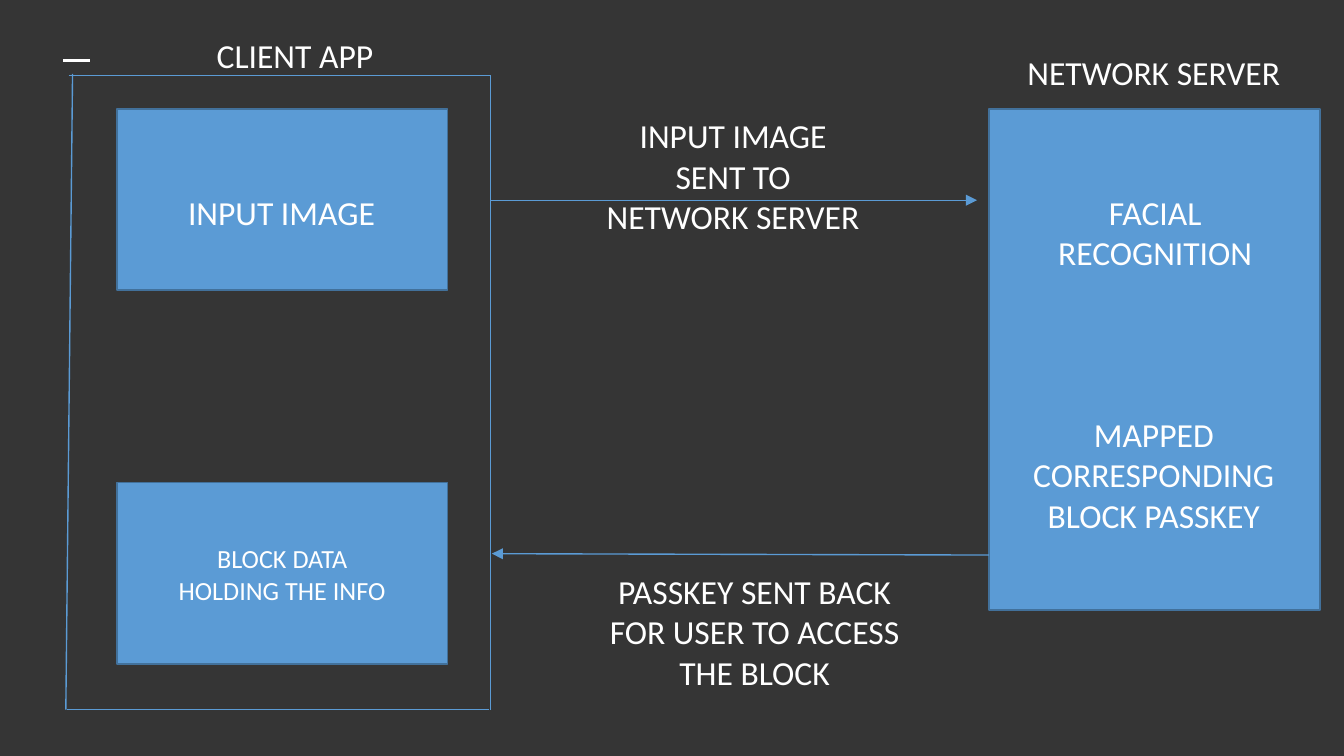
import pptx
import pptx.util
import pptx.dml.color
import pptx.enum.shapes
import pptx.enum.text
import pptx.oxml.ns
import lxml.etree

Inches = pptx.util.Inches
BLUE, WHITE = "5B9BD5", "FFFFFF"


def rgb(value):
    return pptx.dml.color.RGBColor.from_string(value)


# Widescreen 16:9 slide
deck = pptx.Presentation()
deck.slide_width, deck.slide_height = Inches(10), Inches(10 * 9 / 16)
slide = deck.slides.add_slide(deck.slide_layouts[6])
slide.background.fill.solid()
slide.background.fill.fore_color.rgb = rgb("353535")

# Blocks: input image, block data, network server
for left, top, height in [(0.87, 0.81, 1.35), (0.87, 3.59, 1.35), (7.36, 0.81, 3.73)]:
    block = slide.shapes.add_shape(
        pptx.enum.shapes.MSO_SHAPE.RECTANGLE,
        Inches(left), Inches(top), Inches(2.46), Inches(height))
    block.shadow.inherit = False
    block.fill.solid()
    block.fill.fore_color.rgb = rgb(BLUE)
    block.line.color.rgb = rgb("42719B")
    block.line.width = pptx.util.Pt(1)

# Title dash, client app frame, then the two messages with arrowheads
links = [
    (0.47, 0.45, 0.67, 0.45, WHITE, 1.5, False),
    (0.51, 0.56, 3.65, 0.56, BLUE, 0.75, False),
    (0.50, 5.28, 3.64, 5.28, BLUE, 0.75, False),
    (3.65, 0.56, 3.65, 5.28, BLUE, 0.75, False),
    (0.54, 0.55, 0.49, 5.28, BLUE, 0.75, False),
    (3.65, 1.49, 7.27, 1.49, BLUE, 0.75, True),
    (7.36, 4.13, 3.66, 4.12, BLUE, 0.75, True),
]
for x1, y1, x2, y2, color, width, arrow in links:
    link = slide.shapes.add_connector(
        pptx.enum.shapes.MSO_CONNECTOR.STRAIGHT,
        Inches(x1), Inches(y1), Inches(x2), Inches(y2))
    link.line.color.rgb = rgb(color)
    link.line.width = pptx.util.Pt(width)
    properties = link._element.spPr
    if arrow:
        lxml.etree.SubElement(properties.get_or_add_ln(),
                              pptx.oxml.ns.qn("a:tailEnd"), type="triangle")
    lxml.etree.SubElement(properties, pptx.oxml.ns.qn("a:effectLst"))

# Labels
labels = [
    ("CLIENT APP", 1.12, 0.21, 2.15, 0.32, 18),
    ("INPUT IMAGE", 1.19, 1.38, 1.81, 0.32, 18),
    ("BLOCK DATA HOLDING THE INFO", 1.12, 3.99, 1.96, 0.56, 14),
    ("INPUT IMAGE SENT TO NETWORK SERVER", 4.38, 0.81, 2.15, 0.56, 18),
    ("PASSKEY SENT BACK FOR USER TO ACCESS THE BLOCK", 4.38, 4.2, 2.47, 0.79, 18),
    ("NETWORK SERVER", 7.51, 0.34, 2.15, 0.32, 18),
    ("FACIAL RECOGNITION", 7.69, 1.38, 1.81, 0.56, 18),
    ("MAPPED CORRESPONDING BLOCK PASSKEY", 7.51, 3.03, 2.15, 0.79, 18),
]
for wording, left, top, width, height, size in labels:
    label = slide.shapes.add_textbox(
        Inches(left), Inches(top), Inches(width), Inches(height))
    label.text_frame.word_wrap = True
    paragraph = label.text_frame.paragraphs[0]
    paragraph.alignment = pptx.enum.text.PP_ALIGN.CENTER
    run = paragraph.add_run()
    run.text = wording
    run.font.color.rgb = rgb(WHITE)
    for name, value in {"name": "Calibri", "size": pptx.util.Pt(size)}.items():
        setattr(run.font, name, value)

deck.save("out.pptx")
